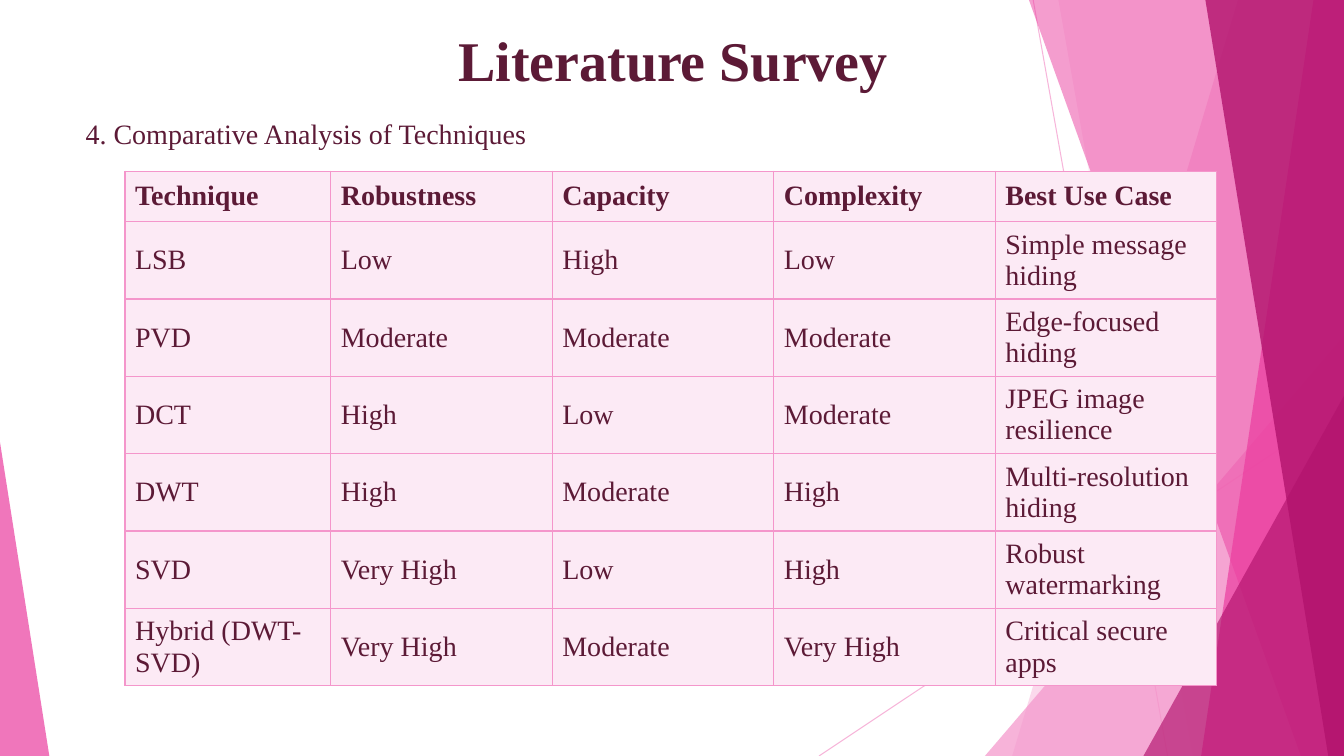
from dataclasses import dataclass

import lxml.etree
import pptx
import pptx.dml.color
import pptx.enum.shapes
import pptx.enum.text
import pptx.oxml
import pptx.oxml.ns
import pptx.util

EMU_PER_PX = 9525
WIDTH, HEIGHT = 1280, 720
FONT = "Times New Roman"
PLUM, PINK, ROSE, MAGENTA = "5C1A36", "F496CB", "EB3D9F", "B2136D"
CELL_FILL = "FCEAF5"
MIDDLE = pptx.enum.text.MSO_ANCHOR.MIDDLE
LEFT = pptx.enum.text.PP_ALIGN.LEFT
CENTER = pptx.enum.text.PP_ALIGN.CENTER


@dataclass
class Ray:
    start: tuple[int, int]
    end: tuple[int, int]


@dataclass
class Band:
    """Full-height panel whose slanted left edge runs from top to bottom."""
    top_x: int
    bottom_x: int
    color: str
    opacity: int


@dataclass
class Wedge:
    """Right triangle standing on the bottom edge of the slide."""
    left: int
    top: int
    width: int
    apex: int
    color: str
    opacity: int


@dataclass
class Label:
    text: str
    left: int
    top: int
    width: int
    height: int
    size: int
    bold: bool
    align: pptx.enum.text.PP_ALIGN
    anchor: pptx.enum.text.MSO_ANCHOR


RAYS = [Ray((984, 0), (1112, HEIGHT)), Ray((WIDTH, 387), (780, HEIGHT))]
FACETS = [
    Band(1179, 964, PINK, 36),
    Band(1008, 1136, PINK, 20),
    Wedge(938, 320, 342, 1, PINK, 72),
    Band(980, 1239, ROSE, 50),
    Band(1251, 1144, ROSE, 70),
    Band(1148, 1265, MAGENTA, 80),
    Wedge(1089, 377, 191, 1, MAGENTA, 66),
    Wedge(0, 421, 47, 0, ROSE, 70),
]
LABELS = [
    Label("Literature Survey", 91, 20, 1100, 73, 40, True, CENTER, MIDDLE),
    Label("4. Comparative Analysis of Techniques", 72, 106, 1085, 178, 20, False,
          LEFT, pptx.enum.text.MSO_ANCHOR.TOP),
]
TECHNIQUES = [
    ("Technique", "Robustness", "Capacity", "Complexity", "Best Use Case"),
    ("LSB", "Low", "High", "Low", "Simple message hiding"),
    ("PVD", "Moderate", "Moderate", "Moderate", "Edge-focused hiding"),
    ("DCT", "High", "Low", "Moderate", "JPEG image resilience"),
    ("DWT", "High", "Moderate", "High", "Multi-resolution hiding"),
    ("SVD", "Very High", "Low", "High", "Robust watermarking"),
    ("Hybrid (DWT-SVD)", "Very High", "Moderate", "Very High", "Critical secure apps"),
]
COLUMN_WIDTHS = [196] + [211] * 4
ROW_HEIGHTS = [48] + [65] * 6


def px(value: int) -> pptx.util.Emu:
    return pptx.util.Emu(value * EMU_PER_PX)


def rgb(color: str) -> pptx.dml.color.RGBColor:
    return pptx.dml.color.RGBColor.from_string(color)


def set_opacity(properties, percent: int) -> None:
    for color in properties.iter(pptx.oxml.ns.qn("a:srgbClr")):
        alpha = lxml.etree.SubElement(color, pptx.oxml.ns.qn("a:alpha"))
        alpha.set("val", str(percent * 1000))


def add_ray(slide, ray: Ray) -> None:
    line = slide.shapes.add_connector(
        pptx.enum.shapes.MSO_CONNECTOR.STRAIGHT,
        *map(px, ray.start), *map(px, ray.end))
    line.line.color.rgb = rgb(PINK)
    line.line.width = pptx.util.Pt(0.75)
    properties = line._element.spPr
    set_opacity(properties, 70)
    lxml.etree.SubElement(properties, pptx.oxml.ns.qn("a:effectLst"))


def add_facet(slide, facet: Band | Wedge) -> None:
    if isinstance(facet, Band):
        builder = slide.shapes.build_freeform(facet.top_x, 0, scale=EMU_PER_PX)
        builder.add_line_segments(
            [(WIDTH, 0), (WIDTH, HEIGHT), (facet.bottom_x, HEIGHT)], close=True)
        shape = builder.convert_to_shape()
    else:
        shape = slide.shapes.add_shape(
            pptx.enum.shapes.MSO_SHAPE.ISOSCELES_TRIANGLE, px(facet.left),
            px(facet.top), px(facet.width), px(HEIGHT - facet.top))
        shape.adjustments[0] = facet.apex
    shape.shadow.inherit = False
    shape.line.fill.background()
    shape.fill.solid()
    shape.fill.fore_color.rgb = rgb(facet.color)
    set_opacity(shape._element.spPr, facet.opacity)


def write(para, text: str, size: int, bold: bool) -> None:
    span = para.add_run()
    span.text = text
    span.font.name = FONT
    span.font.size = pptx.util.Pt(size)
    span.font.bold = bold
    span.font.color.rgb = rgb(PLUM)


def add_label(slide, label: Label) -> None:
    box = slide.shapes.add_textbox(
        px(label.left), px(label.top), px(label.width), px(label.height))
    frame = box.text_frame
    frame.word_wrap = True
    frame.vertical_anchor = label.anchor
    para = frame.paragraphs[0]
    para.alignment = label.align
    write(para, label.text, label.size, label.bold)


def add_borders(cell) -> None:
    properties = cell._tc.get_or_add_tcPr()
    for index, side in enumerate(("lnL", "lnR", "lnT", "lnB")):
        border = pptx.oxml.parse_xml(
            f'<a:{side} {pptx.oxml.ns.nsdecls("a")} w="12700"><a:solidFill>'
            f'<a:srgbClr val="{PINK}"/></a:solidFill></a:{side}>')
        properties.insert(index, border)


def add_comparison(slide, left: int, top: int) -> None:
    table = slide.shapes.add_table(
        len(ROW_HEIGHTS), len(COLUMN_WIDTHS), px(left), px(top),
        px(sum(COLUMN_WIDTHS)), px(sum(ROW_HEIGHTS))).table
    table.horz_banding = False
    for column, width in zip(table.columns, COLUMN_WIDTHS):
        column.width = px(width)
    for row_index, (row, height) in enumerate(zip(table.rows, ROW_HEIGHTS)):
        row.height = px(height)
        for cell, text in zip(row.cells, TECHNIQUES[row_index]):
            cell.vertical_anchor = MIDDLE
            cell.fill.solid()
            cell.fill.fore_color.rgb = rgb(CELL_FILL)
            add_borders(cell)
            write(cell.text_frame.paragraphs[0], text, 20, row_index == 0)


def main() -> None:
    deck = pptx.Presentation()
    deck.slide_width, deck.slide_height = px(WIDTH), px(HEIGHT)
    page = deck.slides.add_slide(deck.slide_layouts[6])
    # Faceted backdrop
    for ray in RAYS:
        add_ray(page, ray)
    for facet in FACETS:
        add_facet(page, facet)
    # Title and section heading
    for label in LABELS:
        add_label(page, label)
    # Comparison of techniques
    add_comparison(page, 119, 163)
    deck.save("out.pptx")


if __name__ == "__main__":
    main()
